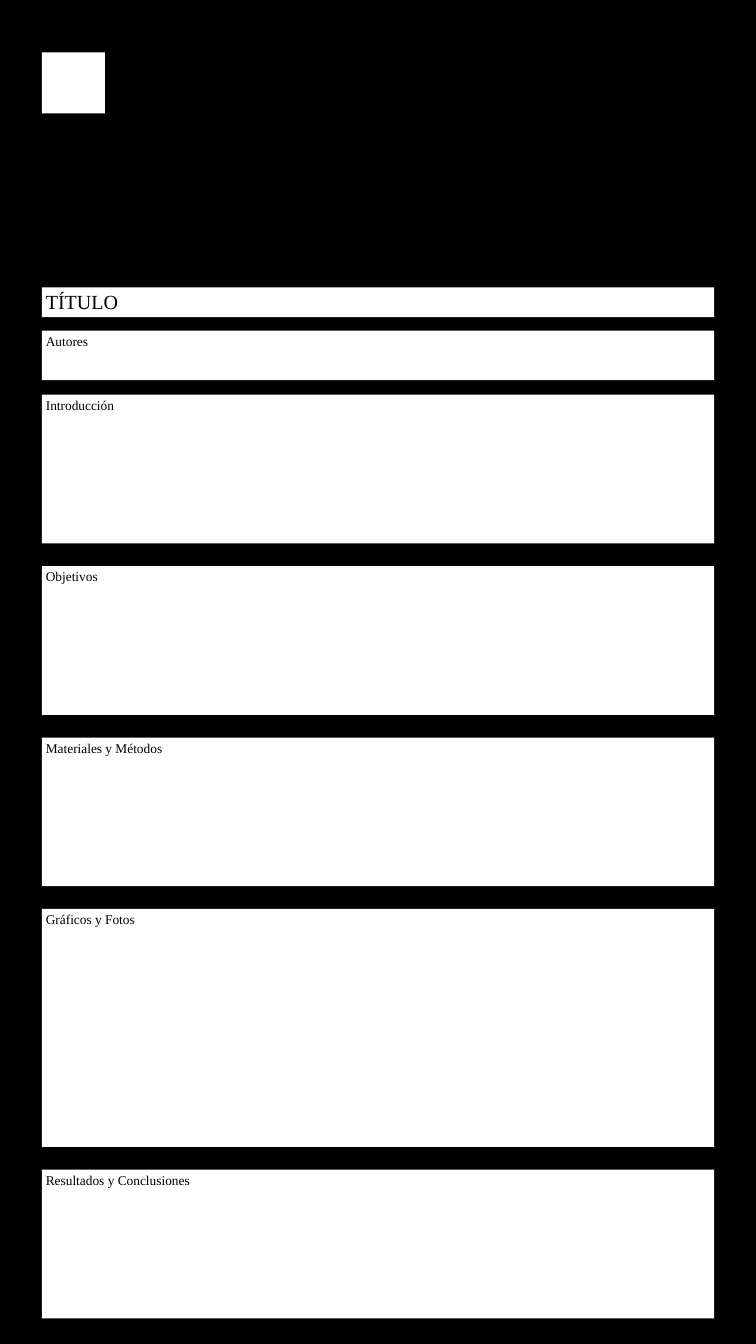
from dataclasses import dataclass

from pptx import Presentation
from pptx import util as u
from pptx.dml.color import RGBColor
from pptx.enum import shapes, text

PX = u.Inches(1) // 100  # one layout px is a hundredth of an inch


@dataclass(frozen=True)
class Theme:
    background: RGBColor = RGBColor(0, 0, 0)
    panel: RGBColor = RGBColor(255, 255, 255)
    ink: RGBColor = RGBColor(0, 0, 0)
    font: str = "Times New Roman"
    title_size: float = 28.6
    heading_size: float = 19.1


THEME = Theme()
SLIDE_WIDTH, SLIDE_HEIGHT = 1500, 2666
LEFT, WIDTH = 83, 1334
SECTION_TOP, SECTION_GAP = 783, 45
SECTIONS = [
    ("Introducción", 295),
    ("Objetivos", 295),
    ("Materiales y Métodos", 295),
    ("Gráficos y Fotos", 472),
    ("Resultados y Conclusiones", 295),
]


def place(shape, left, top, width, height):
    shape.left, shape.top = left * PX, top * PX
    shape.width, shape.height = width * PX, height * PX


def paint(shape):
    shape.fill.solid()
    shape.fill.fore_color.rgb = THEME.panel
    shape.line.fill.background()


def write(shape, content, *, size=THEME.heading_size, before=0, hanging=38):
    """Write one top-left paragraph with a hanging indent."""
    frame = shape.text_frame
    frame.word_wrap = True
    frame.auto_size = text.MSO_AUTO_SIZE.NONE
    frame.vertical_anchor = text.MSO_ANCHOR.TOP
    frame.margin_left = frame.margin_right = 8 * PX
    frame.margin_top = frame.margin_bottom = 5 * PX
    paragraph = frame.paragraphs[0]
    paragraph.alignment = text.PP_ALIGN.LEFT
    paragraph.space_before = u.Pt(before)
    properties = paragraph._p.get_or_add_pPr()
    properties.set("marL", str(hanging * PX))
    properties.set("indent", str(-hanging * PX))
    run = paragraph.add_run()
    run.text = content
    run.font.name = THEME.font
    run.font.size = u.Pt(size)
    run.font.color.rgb = THEME.ink


def add_title(slide, content, top, height):
    title = slide.shapes.title
    place(title, LEFT, top, WIDTH, height)
    paint(title)
    write(title, content, size=THEME.title_size)


def add_panel(slide, top, height, left=LEFT, width=WIDTH):
    panel = slide.shapes.add_shape(shapes.MSO_SHAPE.RECTANGLE, 0, 0, 0, 0)
    place(panel, left, top, width, height)
    paint(panel)
    panel.shadow.inherit = False
    return panel


def main():
    presentation = Presentation()
    presentation.slide_width = SLIDE_WIDTH * PX
    presentation.slide_height = SLIDE_HEIGHT * PX
    slide = presentation.slides.add_slide(presentation.slide_layouts[5])
    slide.background.fill.solid()
    slide.background.fill.fore_color.rgb = THEME.background

    # Header: emblem square, title and authors
    add_panel(slide, 104, 121, width=125)
    add_title(slide, "TÍTULO", 570, 59)
    write(add_panel(slide, 656, 98), "Autores", before=2)

    # Sections stacked with equal gaps
    top = SECTION_TOP
    for heading, height in SECTIONS:
        write(add_panel(slide, top, height), heading, before=3.2, hanging=60)
        top += height + SECTION_GAP

    presentation.save("out.pptx")


if __name__ == "__main__":
    main()
